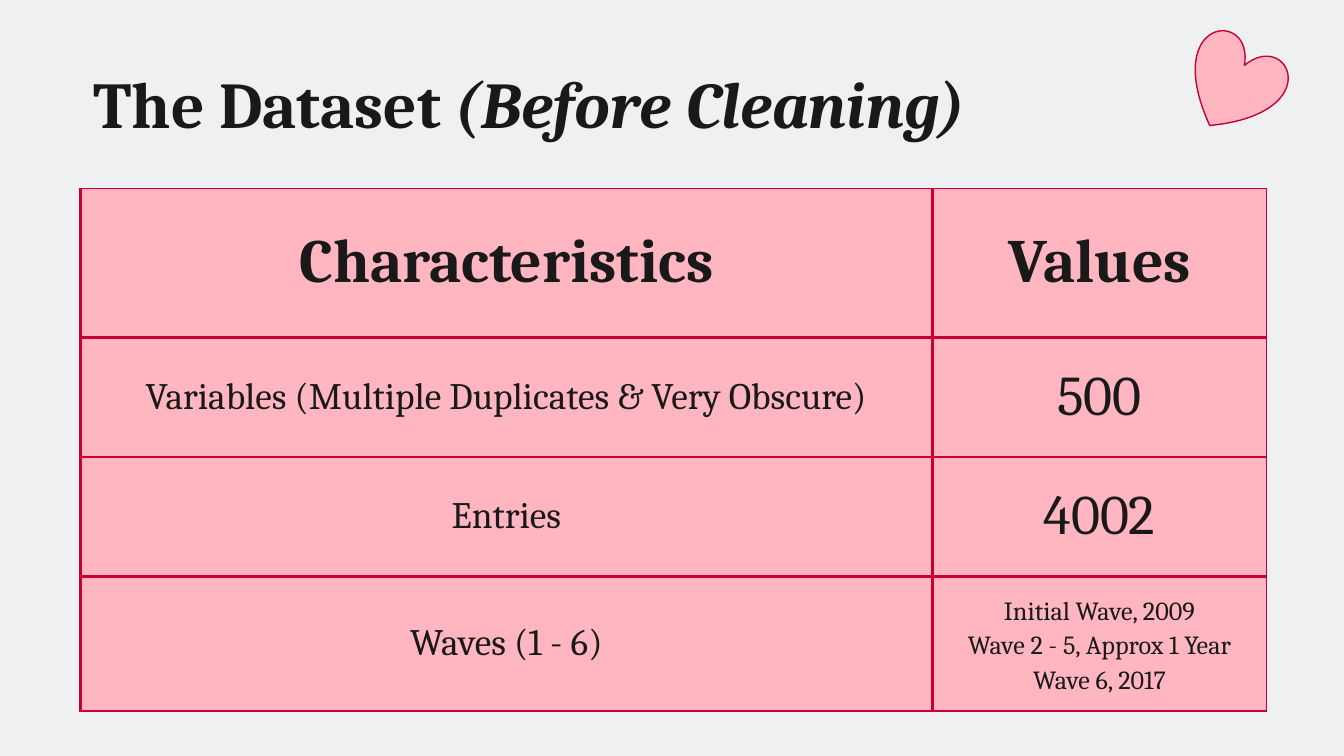
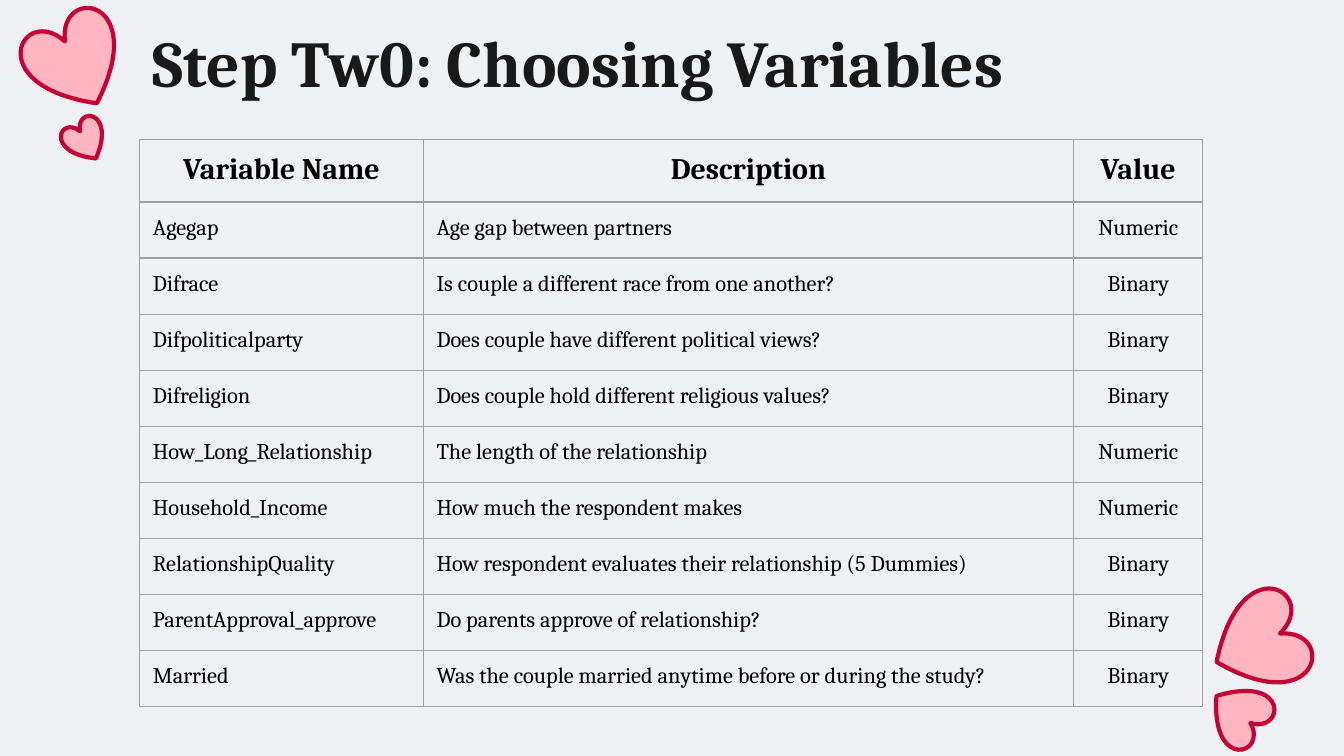
from lxml.etree import SubElement
from pptx import Presentation
from pptx.dml.color import RGBColor
from pptx.enum.shapes import MSO_SHAPE
from pptx.enum.text import MSO_ANCHOR, PP_ALIGN
from pptx.oxml import parse_xml
from pptx.oxml.ns import nsdecls
from pptx.util import Cm, Pt

FONT = "Cambria"
PAPER = "EEF0F2"
INK = "191919"
BLACK = "000000"
PINK = "FFB6C1"
CRIMSON = "C60035"
GREY = "9E9E9E"
INSET = Cm(0.25)
LEFT, CENTER = PP_ALIGN.LEFT, PP_ALIGN.CENTER


def color(value):
    return RGBColor.from_string(value)


class SlideBuilder:
    def __init__(self):
        self.deck = Presentation()
        self.deck.slide_width = Cm(25.4)
        self.deck.slide_height = Cm(14.29)
        self.slide = None

    def new_slide(self):
        self.slide = self.deck.slides.add_slide(self.deck.slide_layouts[6])
        fill = self.slide.background.fill
        fill.solid()
        fill.fore_color.rgb = color(PAPER)

    def add_run(self, para, text, size, ink=INK, bold=False, italic=False):
        span = para.add_run()
        span.text = text
        span.font.name = FONT
        span.font.size = Pt(size)
        span.font.bold = bold
        span.font.italic = italic
        span.font.color.rgb = color(ink)

    def title(self, left, top, width, height, text, accent="", anchor=MSO_ANCHOR.TOP):
        box = self.slide.shapes.add_textbox(Cm(left), Cm(top), Cm(width), Cm(height))
        frame = box.text_frame
        frame.word_wrap = True
        frame.vertical_anchor = anchor
        frame.margin_left = frame.margin_right = INSET
        frame.margin_top = frame.margin_bottom = INSET
        para = frame.paragraphs[0]
        self.add_run(para, text, 35, bold=True)
        if accent:
            self.add_run(para, accent, 35, bold=True, italic=True)

    def heart(self, left, top, width, height, rotation, weight=2.25):
        heart = self.slide.shapes.add_shape(
            MSO_SHAPE.HEART, Cm(left), Cm(top), Cm(width), Cm(height))
        heart.shadow.inherit = False
        heart.rotation = rotation
        heart.fill.solid()
        heart.fill.fore_color.rgb = color(PINK)
        heart.line.color.rgb = color(CRIMSON)
        heart.line.width = Pt(weight)

    def table(self, left, top, widths, heights):
        frame = self.slide.shapes.add_table(
            len(heights), len(widths), Cm(left), Cm(top),
            Cm(sum(widths)), Cm(sum(heights)))
        table = frame.table
        table.first_row = False
        table.horz_banding = False
        for column, width in zip(table.columns, widths):
            column.width = Cm(width)
        for row, height in zip(table.rows, heights):
            row.height = Cm(height)
        return table

    def cell(self, cell, lines, size, ink, bold=False, align=CENTER,
             anchor=MSO_ANCHOR.TOP, fill=None):
        cell.margin_left = cell.margin_right = INSET
        cell.margin_top = cell.margin_bottom = INSET
        cell.vertical_anchor = anchor
        if fill:
            cell.fill.solid()
            cell.fill.fore_color.rgb = color(fill)
        else:
            cell.fill.background()
        frame = cell.text_frame
        for index, line in enumerate(lines):
            para = frame.add_paragraph() if index else frame.paragraphs[0]
            para.alignment = align
            if len(lines) > 1:
                para.line_spacing = 1.15
            self.add_run(para, line, size, ink, bold)

    def borders(self, cell, stroke, left, right, top, bottom):
        properties = cell._tc.get_or_add_tcPr()
        sides = zip("LRTB", (left, right, top, bottom))
        for index, (side, weight) in enumerate(sides):
            line = parse_xml(f'<a:ln{side} {nsdecls("a")} w="{Pt(weight)}"><a:solidFill>'
                             f'<a:srgbClr val="{stroke}"/></a:solidFill></a:ln{side}>')
            SubElement(line, line[0].tag.replace("solidFill", "prstDash")).set("val", "solid")
            properties.insert(index, line)


def dataset_slide(builder):
    builder.new_slide()
    builder.title(1.52, 0.94, 21.41, 1.6, "The Dataset", " (Before Cleaning)")
    rows = [
        ("Characteristics", ["Values"], 33, 33),
        ("Variables (Multiple Duplicates & Very Obscure)", ["500"], 20, 30),
        ("Entries", ["4002"], 20, 30),
        ("Waves (1 - 6)",
         ["Initial Wave, 2009", "Wave 2 - 5, Approx 1 Year", "Wave 6, 2017"], 20, 14),
    ]
    table = builder.table(1.52, 3.56, [16.1, 6.32], [2.82] + [2.26] * 3)
    for index, (label, values, label_size, value_size) in enumerate(rows):
        top = 1.5 if index else 0.75
        contents = [([label], label_size, 1.5), (values, value_size, 0.75)]
        for column, (lines, size, right) in enumerate(contents):
            cell = table.cell(index, column)
            builder.cell(cell, lines, size, INK, bold=index == 0,
                         anchor=MSO_ANCHOR.MIDDLE, fill=PINK)
            builder.borders(cell, CRIMSON, 1.5, right, top, 1.5)
    builder.heart(22.4, 0.74, 1.8, 1.75, 30, 0.75)


def variables_slide(builder):
    builder.new_slide()
    rows = [
        ("Variable Name", "Description", "Value"),
        ("Agegap", "Age gap between partners", "Numeric"),
        ("Difrace", "Is couple a different race from one another?", "Binary"),
        ("Difpoliticalparty", "Does couple have different political views?", "Binary"),
        ("Difreligion", "Does couple hold different religious values?", "Binary"),
        ("How_Long_Relationship", "The length of the relationship", "Numeric"),
        ("Household_Income", "How much the respondent makes", "Numeric"),
        ("RelationshipQuality",
         "How respondent evaluates their relationship (5 Dummies)", "Binary"),
        ("ParentApproval_approve", "Do parents approve of relationship?", "Binary"),
        ("Married",
         "Was the couple married anytime before or during the study?", "Binary"),
    ]
    table = builder.table(2.64, 2.64, [5.36, 12.29, 2.44], [1.06] * len(rows))
    for index, row in enumerate(rows):
        header = index == 0
        for column, text in enumerate(row):
            cell = table.cell(index, column)
            builder.cell(cell, [text], 16 if header else 12, BLACK, bold=header,
                         align=CENTER if header or column == 2 else LEFT)
            builder.borders(cell, GREY, 0.75, 0.75, 0.75, 0.75)
    builder.title(2.64, 0.43, 18.92, 1.47, "Step Tw0: Choosing Variables",
                  anchor=MSO_ANCHOR.MIDDLE)
    builder.heart(0.53, 0.3, 1.8, 1.75, 332.7)
    builder.heart(1.22, 2.26, 0.79, 0.79, 329.7)
    builder.heart(22.89, 11.28, 1.8, 1.75, 65.8)
    builder.heart(22.83, 12.95, 1.17, 1.09, 128.6)


def main():
    builder = SlideBuilder()
    dataset_slide(builder)
    variables_slide(builder)
    builder.deck.save("out.pptx")


if __name__ == "__main__":
    main()
